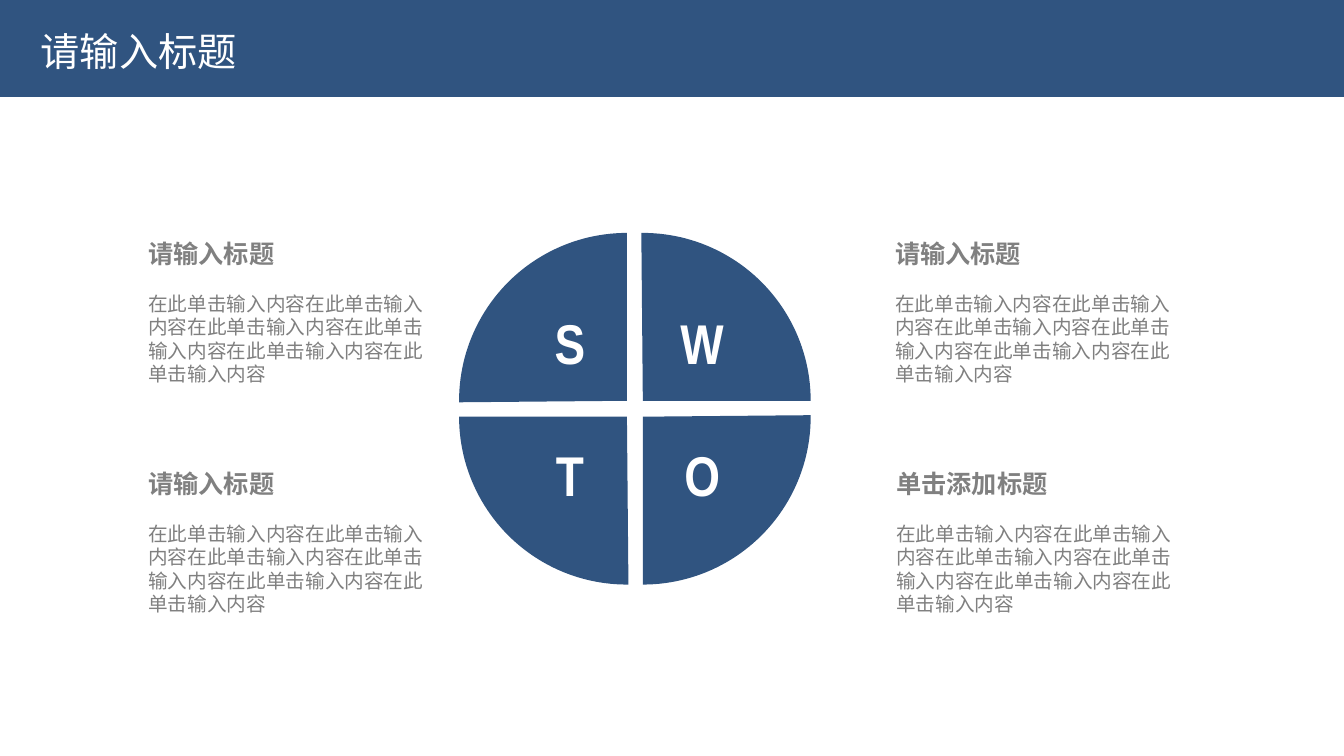
from pptx import Presentation
from pptx.dml.color import RGBColor as Rgb
from pptx.enum.shapes import MSO_SHAPE as Kind
from pptx.enum.text import MSO_AUTO_SIZE as Fit, PP_ALIGN as Align
from pptx.oxml.ns import qn
from pptx.util import Cm, Pt
from lxml.etree import SubElement

# Content
TITLE = "请输入标题"
BODY = "在此单击输入内容" * 6
NOTES = [  # left, top, heading width, heading
    (3.49, 5.87, 3.71, "请输入标题"),
    (3.49, 11.67, 3.71, "请输入标题"),
    (22.31, 5.87, 3.71, "请输入标题"),
    (22.34, 11.67, 5.74, "单击添加标题"),
]
SWOT = [  # letter, column, row, clockwise from top left
    ("S", 0, 0),
    ("W", 1, 0),
    ("O", 1, 1),
    ("T", 0, 1),
]
HEX = {"blue": "305480", "gray": "808080", "white": "FFFFFF"}
HAN, LATIN = "Noto Sans CJK SC", "Arial Narrow"

# Layout in cm
WIDE, HIGH = 33.87, 19.05
PIE_X, PIE_Y, PIE, GAP = 11.57, 5.87, 8.46, 0.4
MARK_X, MARK_Y, STEP = 13.4, 7.65, 3.33
ARC = (107.69, 162)

deck = Presentation()
deck.slide_width, deck.slide_height = Cm(WIDE), Cm(HIGH)
slide = deck.slides.add_slide(deck.slide_layouts[6])


def block(kind, x, y, w, h):
    shape = slide.shapes.add_shape(kind, Cm(x), Cm(y), Cm(w), Cm(h))
    shape.shadow.inherit = False
    shape.fill.solid()
    shape.fill.fore_color.rgb = Rgb.from_string(HEX["blue"])
    shape.line.fill.background()
    return shape


def write(text, x, y, w, h, size, color, font=HAN, bold=False, wrap=True):
    box = slide.shapes.add_textbox(Cm(x), Cm(y), Cm(w), Cm(h))
    frame = box.text_frame
    frame.word_wrap = wrap
    frame.auto_size = Fit.SHAPE_TO_FIT_TEXT
    para = frame.paragraphs[0]
    para.alignment = Align.LEFT if font == HAN else Align.CENTER
    run = para.add_run()
    run.text = text
    run.font.size, run.font.bold, run.font.name = Pt(size), bold, font
    run.font.color.rgb = Rgb.from_string(HEX[color])
    SubElement(run.font._element, qn("a:ea")).set("typeface", font)
    return frame


# Title bar
block(Kind.RECTANGLE, 0, 0, WIDE, 2.44)
head = write(TITLE, 0.85, 0.58, 12.04, 1.4, 28, "white")
head.margin_left = head.margin_right = Cm(0.18)
head.margin_top = head.margin_bottom = Cm(0.1)

# Headed notes
for x, y, w, name in NOTES:
    write(name, x, y, w, 1.02, 18, "gray", bold=True, wrap=False)
    write(BODY, x, y + 1.35, 7.82, 2.64, 14, "gray")

# Quarter circles
for turn, (mark, col, row) in enumerate(SWOT):
    part = block(Kind.PIE, PIE_X + col * GAP, PIE_Y + row * GAP, PIE, PIE)
    part.adjustments[0], part.adjustments[1] = ARC
    part.rotation = turn * 90

# Letters
for mark, col, row in SWOT:
    write(mark, MARK_X + col * STEP, MARK_Y + row * STEP, 1.93, 1.96,
          40, "white", LATIN, bold=True)

deck.save("out.pptx")
